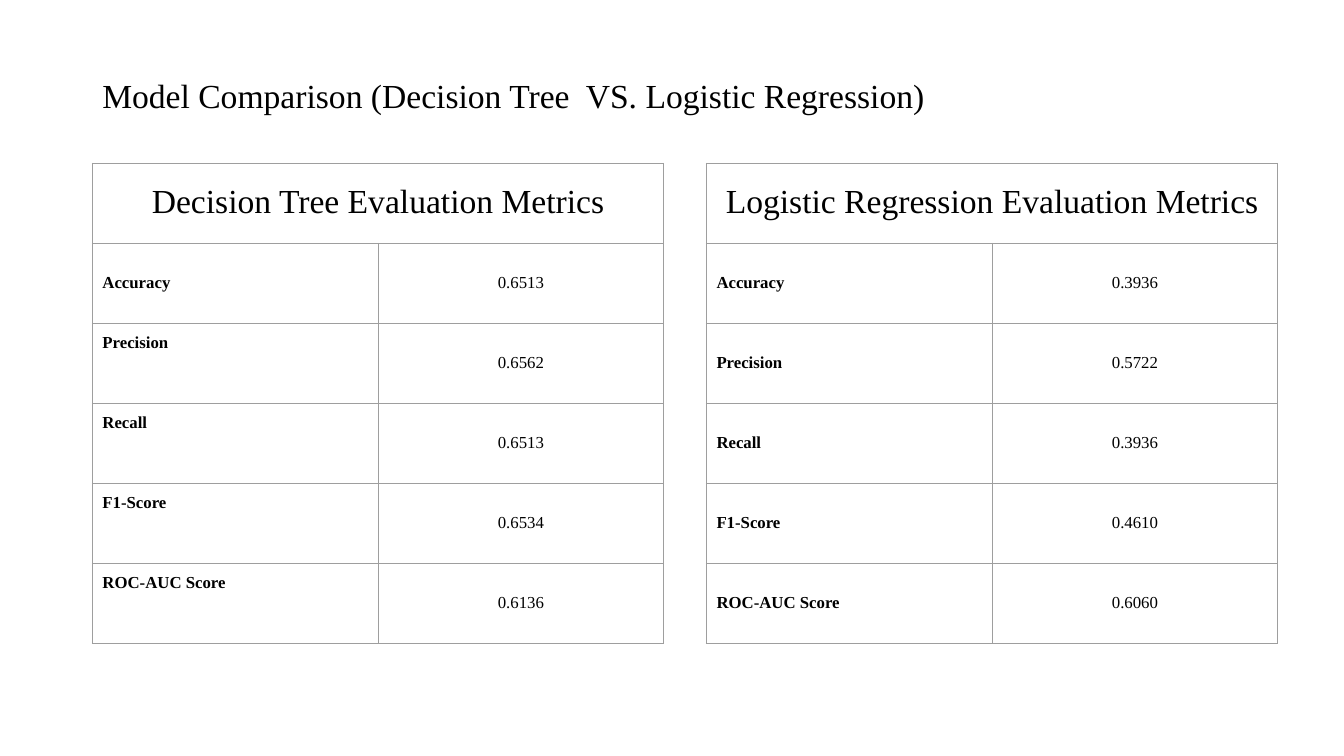
import lxml.etree
import pptx
import pptx.dml.color
import pptx.enum.text
import pptx.oxml
import pptx.oxml.ns
import pptx.util

Pt = pptx.util.Pt
ALIGN = pptx.enum.text.PP_ALIGN
ANCHOR = pptx.enum.text.MSO_ANCHOR
COLORS = {"background": "FFFFFF", "text": "000000", "border": "9E9E9E"}
METRICS = ["Accuracy", "Precision", "Recall", "F1-Score", "ROC-AUC Score"]
TREE_SCORES = ["0.6513", "0.6562", "0.6513", "0.6534", "0.6136"]
REGRESSION_SCORES = ["0.3936", "0.5722", "0.3936", "0.4610", "0.6060"]


def rgb(name):
    return pptx.dml.color.RGBColor.from_string(COLORS[name])


def write_text(frame, text, size=12, bold=False, align=ALIGN.LEFT, spacing=1.0, font="Times New Roman"):
    paragraph = frame.paragraphs[0]
    paragraph.alignment = align
    paragraph.line_spacing = spacing
    run = paragraph.add_run()
    run.text = text
    run.font.name = font
    run.font.size = Pt(size)
    run.font.bold = bold
    run.font.color.rgb = rgb("text")


class MetricsSlide:
    heading = {"size": 24, "spacing": 0.9}
    column_width = 204.1
    row_height = 57.14
    cell_margin = 7.2
    border_width = 0.75

    def __init__(self, presentation):
        self.slide = presentation.slides.add_slide(presentation.slide_layouts[6])
        fill = self.slide.background.fill
        fill.solid()
        fill.fore_color.rgb = rgb("background")

    def add_title(self, text, left, top, width, height):
        box = self.slide.shapes.add_textbox(Pt(left), Pt(top), Pt(width), Pt(height))
        frame = box.text_frame
        frame.word_wrap = True
        frame.vertical_anchor = ANCHOR.MIDDLE
        write_text(frame, text, **self.heading)

    def style_cell(self, cell, anchor=ANCHOR.MIDDLE):
        cell.vertical_anchor = anchor
        cell.margin_left = cell.margin_right = Pt(self.cell_margin)
        cell.margin_top = cell.margin_bottom = Pt(self.cell_margin)
        properties = cell._tc.get_or_add_tcPr()
        for side in ("lnL", "lnR", "lnT", "lnB"):
            line = lxml.etree.SubElement(properties, pptx.oxml.ns.qn(f"a:{side}"), w=str(Pt(self.border_width)))
            fill = lxml.etree.SubElement(line, pptx.oxml.ns.qn("a:solidFill"))
            lxml.etree.SubElement(fill, pptx.oxml.ns.qn("a:srgbClr"), val=COLORS["border"])
        cell.fill.background()

    def add_metrics_table(self, heading, scores, left, top, top_anchored=()):
        row_count = len(METRICS) + 1
        table = self.slide.shapes.add_table(
            row_count, 2, Pt(left), Pt(top),
            Pt(2 * self.column_width), Pt(row_count * self.row_height),
        ).table
        table.first_row = False
        table.horz_banding = False
        for column in table.columns:
            column.width = Pt(self.column_width)
        for row in table.rows:
            row.height = Pt(self.row_height)

        table.cell(0, 0).merge(table.cell(0, 1))
        for cell in table.rows[0].cells:
            self.style_cell(cell)
        write_text(table.cell(0, 0).text_frame, heading, align=ALIGN.CENTER, **self.heading)

        for index, (metric, score) in enumerate(zip(METRICS, scores), start=1):
            label, value = table.cell(index, 0), table.cell(index, 1)
            self.style_cell(label, ANCHOR.TOP if metric in top_anchored else ANCHOR.MIDDLE)
            self.style_cell(value)
            write_text(label.text_frame, metric, bold=True)
            write_text(value.text_frame, score, align=ALIGN.CENTER)


def main():
    presentation = pptx.Presentation()
    presentation.slide_width = Pt(960)
    presentation.slide_height = Pt(540)
    comparison = MetricsSlide(presentation)
    comparison.add_title("Model Comparison (Decision Tree  VS. Logistic Regression)", 66, 28.75, 828, 81.5)
    comparison.add_metrics_table(
        "Decision Tree Evaluation Metrics", TREE_SCORES, 66, 116.6, top_anchored=METRICS[1:]
    )
    comparison.add_metrics_table("Logistic Regression Evaluation Metrics", REGRESSION_SCORES, 504.6, 116.6)
    presentation.save("out.pptx")


if __name__ == "__main__":
    main()
